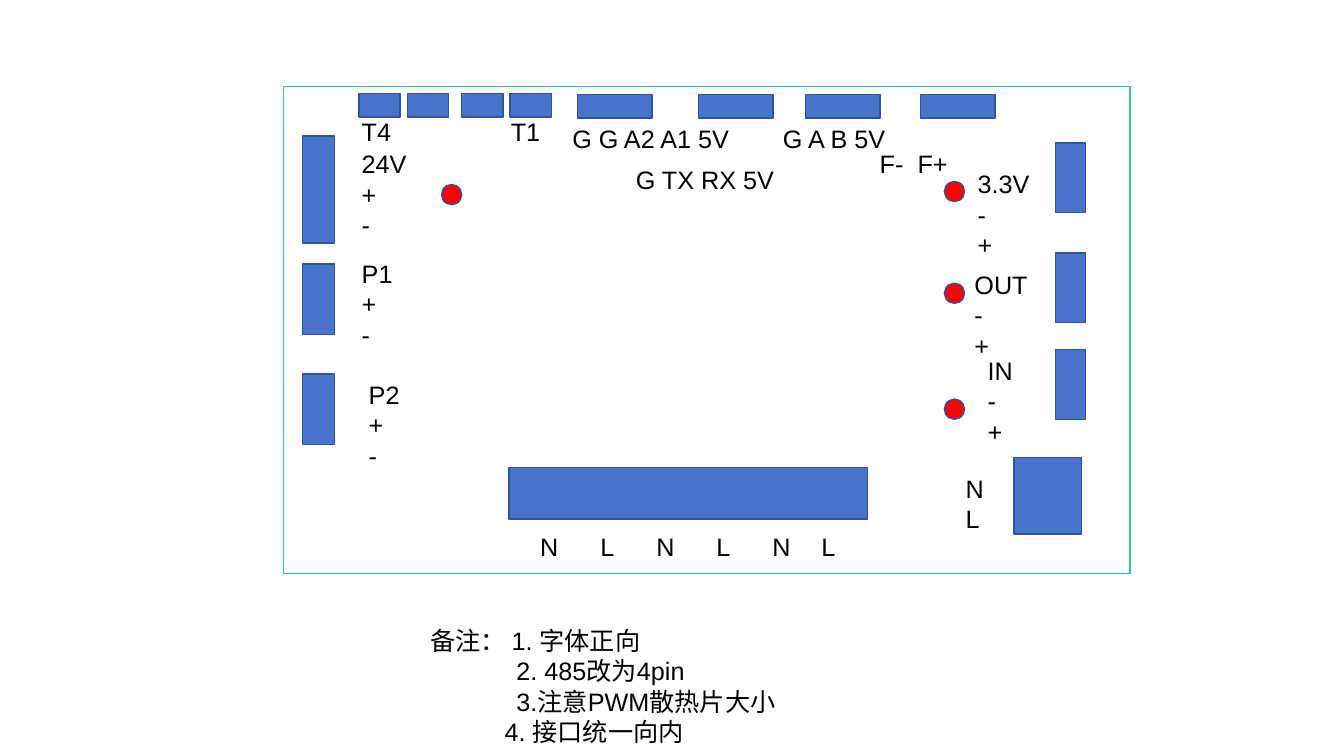
from lxml.etree import SubElement
from pptx import Presentation
from pptx.dml.color import RGBColor
from pptx.enum.shapes import MSO_SHAPE as Preset
from pptx.enum.text import MSO_ANCHOR as Anchor, MSO_AUTO_SIZE as AutoSize, PP_ALIGN as Align
from pptx.oxml.ns import qn
from pptx.util import Pt

BLUE, DARK_BLUE, GREEN, RED, BLACK = "4874CB", "2E54A1", "36C98D", "FF0000", "000000"


def colour(hex_value):
    return RGBColor.from_string(hex_value)


def add_part(slide, left, top, width, height, fill=BLUE, line=DARK_BLUE, preset=Preset.RECTANGLE):
    part = slide.shapes.add_shape(preset, Pt(left), Pt(top), Pt(width), Pt(height))
    part.shadow.inherit = False
    if fill:
        part.fill.solid()
        part.fill.fore_color.rgb = colour(fill)
    else:
        part.fill.background()
    part.line.color.rgb = colour(line)
    part.line.width = Pt(1)


def add_led(slide, left, top):
    add_part(slide, left, top, 14.4, 14.4, fill=RED, preset=Preset.OVAL)


def write_text(frame, text):
    frame.text = text
    frame.word_wrap = True
    frame.auto_size = AutoSize.NONE
    frame.vertical_anchor = Anchor.TOP
    for paragraph in frame.paragraphs:
        paragraph.alignment = Align.LEFT
        paragraph.line_spacing = Pt(21.8)
        paragraph.space_before = Pt(0)
        for run in paragraph.runs:
            run.font.name = "Arial"
            run.font.size = Pt(18)
            run.font.color.rgb = colour(BLACK)


def add_label(slide, text, left, top, width, height=28.8, tabs=()):
    label = slide.shapes.add_textbox(Pt(left), Pt(top), Pt(width), Pt(height))
    write_text(label.text_frame, text)
    if tabs:
        properties = label.text_frame.paragraphs[0]._p.get_or_add_pPr()
        tab_list = SubElement(properties, qn("a:tabLst"))
        for position in tabs:
            SubElement(tab_list, qn("a:tab"), pos=str(Pt(position)), algn="l")


def add_notes_list(slide, lines, indents):
    notes = slide.placeholders[1]
    notes.left, notes.top, notes.width, notes.height = Pt(300.2), Pt(442.8), Pt(320), Pt(94.3)
    write_text(notes.text_frame, "\n".join(lines))
    for paragraph, indent in zip(notes.text_frame.paragraphs, indents):
        properties = paragraph._p.get_or_add_pPr()
        properties.set("marL", str(Pt(indent)))
        properties.set("indent", "0")
        SubElement(properties, qn("a:buNone"))


def main():
    deck = Presentation()
    deck.slide_width, deck.slide_height = Pt(960), Pt(540)
    slide = deck.slides.add_slide(deck.slide_layouts[1])
    title = slide.shapes.title._element
    title.getparent().remove(title)

    # Board outline
    add_part(slide, 202.4, 61.9, 604.8, 347.8, fill=None, line=GREEN)

    # Mains terminals
    add_part(slide, 363.6, 334.1, 256.3, 36.7)
    add_label(slide, "N\tL\tN\tL\tN\tL", 378.7, 375.8, 319.7, tabs=(43, 83, 126, 166, 201))
    add_part(slide, 724.3, 326.9, 48.2, 54.7)
    add_label(slide, "N\nL", 682.6, 334.1, 51.1, 51.1)

    # Left connectors
    for top, height in ((97.2, 76.3), (188.6, 50.4), (267.1, 50.4)):
        add_part(slide, 216, top, 23, height)
    add_label(slide, "24V +\n-", 251.3, 102.2, 56.2, 72.7)
    add_label(slide, "P1\n+\n-", 251.3, 180.7, 51.1, 72.7)
    add_label(slide, "P2\n+\n-", 256.3, 267.1, 51.1, 72.7)

    # Temperature connectors
    for left in (256.3, 290.9, 329.8, 364.3):
        add_part(slide, left, 67, 29.5, 16.6)
    add_label(slide, "T4", 251.3, 79.2, 93.6)
    add_label(slide, "T1", 357.8, 79.2, 46.8)

    # Signal connectors
    for left in (412.6, 499, 575.3, 657.4):
        add_part(slide, left, 67.7, 53.3, 16.6)
    for text, left, top in (("G G A2 A1 5V", 401.7, 84.2), ("G TX RX 5V", 447.1, 113.8),
                            ("G A B 5V", 552.2, 84.2)):
        add_label(slide, text, left, top, 155.5)
    add_label(slide, "F-\tF+", 621.3, 102.2, 155.5, tabs=(27,))

    # Right connectors
    for top in (102.2, 180.7, 249.8):
        add_part(slide, 753.8, top, 21.6, 49.7)
    for name, left, top in (("3.3V", 691.2, 116.6), ("OUT", 689, 188.6), ("IN", 698.4, 249.8)):
        add_label(slide, f"{name}\n-\n+", left, top, 64.8, 72.7)

    # Indicator lights
    for top in (129.6, 202.3, 285.1):
        add_led(slide, 674.6, top)
    add_led(slide, 315.4, 131.8)

    # Remarks
    remarks = ("备注： 1. 字体正向", "2. 485改为4pin", "3.注意PWM散热片大小", "4. 接口统一向内")
    add_notes_list(slide, remarks, indents=(0, 61.5, 61.5, 53))

    deck.save("out.pptx")


if __name__ == "__main__":
    main()
